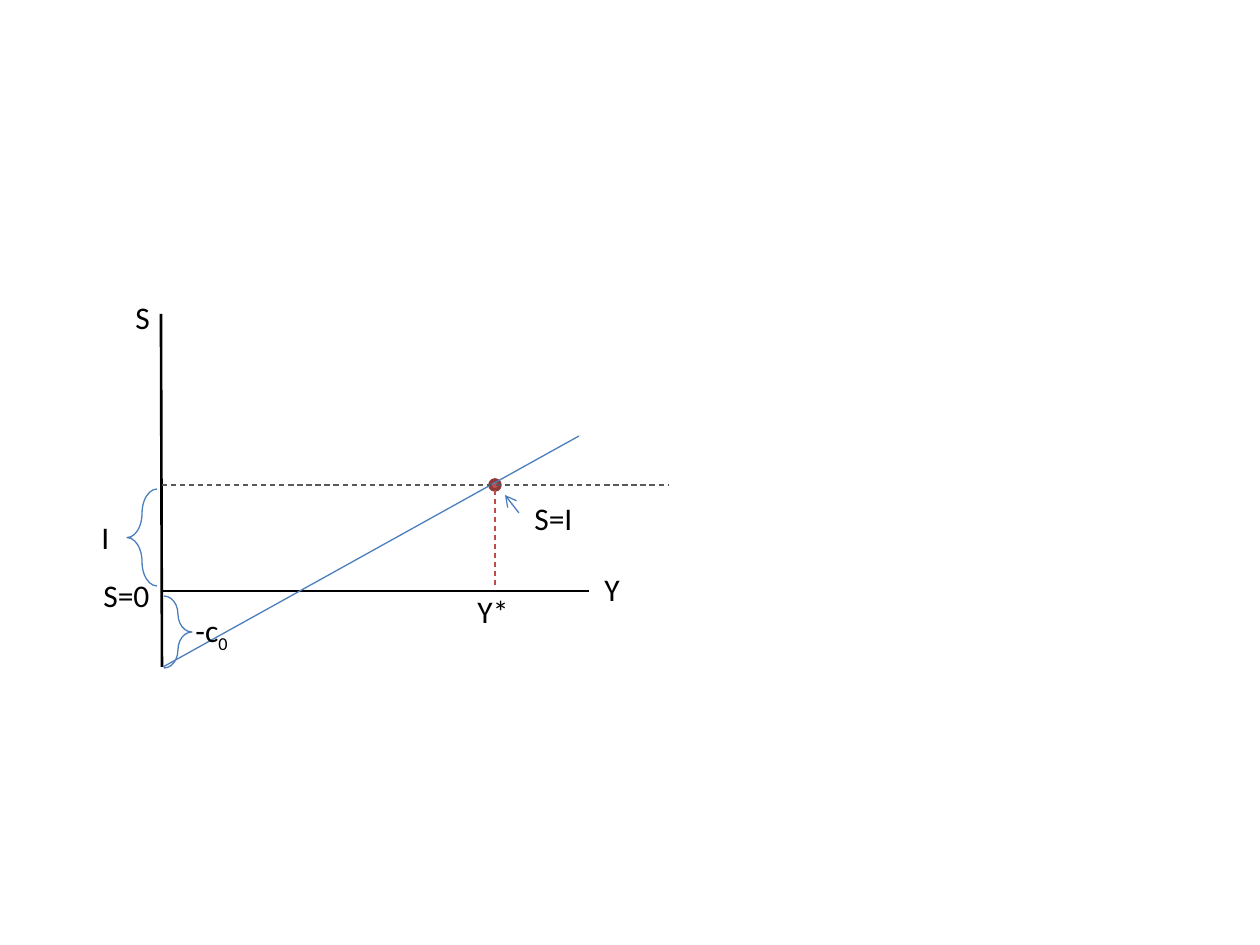
from lxml.etree import SubElement
from pptx import Presentation
from pptx.dml.color import RGBColor
from pptx.enum.dml import MSO_LINE
from pptx.enum.shapes import MSO_CONNECTOR, MSO_SHAPE
from pptx.enum.text import MSO_AUTO_SIZE
from pptx.oxml.ns import qn
from pptx.util import Pt

PX = 914400 / 126
BLACK = RGBColor(0x00, 0x00, 0x00)
BLUE = RGBColor(0x4B, 0x7E, 0xBC)
RED = RGBColor(0xBF, 0x4C, 0x48)
GRAY = RGBColor(0x59, 0x59, 0x59)
DOT_FILL = RGBColor(0xC0, 0x50, 0x4D)
DOT_LINE = RGBColor(0x8E, 0x3B, 0x39)

AXIS_X, ZERO_Y = 162, 591
INVESTMENT_Y, EQUILIBRIUM_X = 485, 495
INTERCEPT_Y = 667
LABEL_HEIGHT = 50

# start, end, colour, width in points, format
AXES = [
    ((AXIS_X - 1, 314), (AXIS_X, INTERCEPT_Y), BLACK, 1.5, {}),
    ((AXIS_X, ZERO_Y), (589, ZERO_Y), BLACK, 1.5, {}),
]
CURVES = [
    ((579, 436), (AXIS_X + 1, INTERCEPT_Y), BLUE, 0.75, {}),
    ((AXIS_X, INVESTMENT_Y), (669, INVESTMENT_Y), GRAY, 0.75, {"dashed": True}),
    ((519, 513), (505, 495), BLUE, 0.75, {"arrow": True}),
    ((EQUILIBRIUM_X, 490), (EQUILIBRIUM_X, 586), RED, 0.75, {"dashed": True}),
]
# left, top, width, height, rotation
BRACES = [(127, 489, 30, 97, 180), (164, 596, 28, 72, 0)]
# text, left, top, width, format
LABELS = [
    ("Y", 592, 564, 40, {}),
    ("S", 123, 292, 40, {}),
    ("I", 89, 512, 34, {}),
    ("S=0", 91, 570, 72, {}),
    ("-c", 183, 605, 59, {"subscript": "0"}),
    ("Y*", 465, 586, 57, {}),
    ("S=I", 522, 493, 64, {}),
]


def px(*lengths):
    return [round(length * PX) for length in lengths]


def add_line(slide, start, end, color, width, dashed=False, arrow=False):
    connector = slide.shapes.add_connector(MSO_CONNECTOR.STRAIGHT, *px(*start, *end))
    connector.line.color.rgb = color
    connector.line.width = Pt(width)
    if dashed:
        connector.line.dash_style = MSO_LINE.DASH
    properties = connector._element.spPr
    if arrow:
        SubElement(properties.find(qn("a:ln")), qn("a:tailEnd"), type="arrow")
    SubElement(properties, qn("a:effectLst"))


def add_outline(slide, kind, box, color, width, fill=None):
    shape = slide.shapes.add_shape(kind, *px(*box))
    shape.shadow.inherit = False
    shape.line.color.rgb = color
    shape.line.width = Pt(width)
    if fill is None:
        shape.fill.background()
    else:
        shape.fill.solid()
        shape.fill.fore_color.rgb = fill
    return shape


def add_brace(slide, left, top, width, height, rotation):
    brace = add_outline(slide, MSO_SHAPE.RIGHT_BRACE, (left, top, width, height), BLUE, 0.75)
    brace.adjustments[0] = 0.917
    brace.rotation = rotation


def add_label(slide, text, left, top, width, subscript=""):
    frame = slide.shapes.add_textbox(*px(left, top, width, LABEL_HEIGHT)).text_frame
    frame.word_wrap = False
    frame.auto_size = MSO_AUTO_SIZE.SHAPE_TO_FIT_TEXT
    paragraph = frame.paragraphs[0]
    for part in filter(None, (text, subscript)):
        run = paragraph.add_run()
        run.text = part
        run.font.name = "Calibri"
        run.font.size = Pt(18)
        run.font.color.rgb = BLACK
    if subscript:
        run._r.get_or_add_rPr().set("baseline", "-25000")


def main():
    presentation = Presentation()
    presentation.slide_width, presentation.slide_height = px(1260, 945)
    slide = presentation.slides.add_slide(presentation.slide_layouts[6])
    for start, end, color, width, style in AXES:
        add_line(slide, start, end, color, width, **style)
    dot = (EQUILIBRIUM_X - 5, INVESTMENT_Y - 5, 10, 10)
    add_outline(slide, MSO_SHAPE.OVAL, dot, DOT_LINE, 2, DOT_FILL)
    for brace in BRACES:
        add_brace(slide, *brace)
    for start, end, color, width, style in CURVES:
        add_line(slide, start, end, color, width, **style)
    for text, left, top, width, style in LABELS:
        add_label(slide, text, left, top, width, **style)
    presentation.save("out.pptx")


if __name__ == "__main__":
    main()
